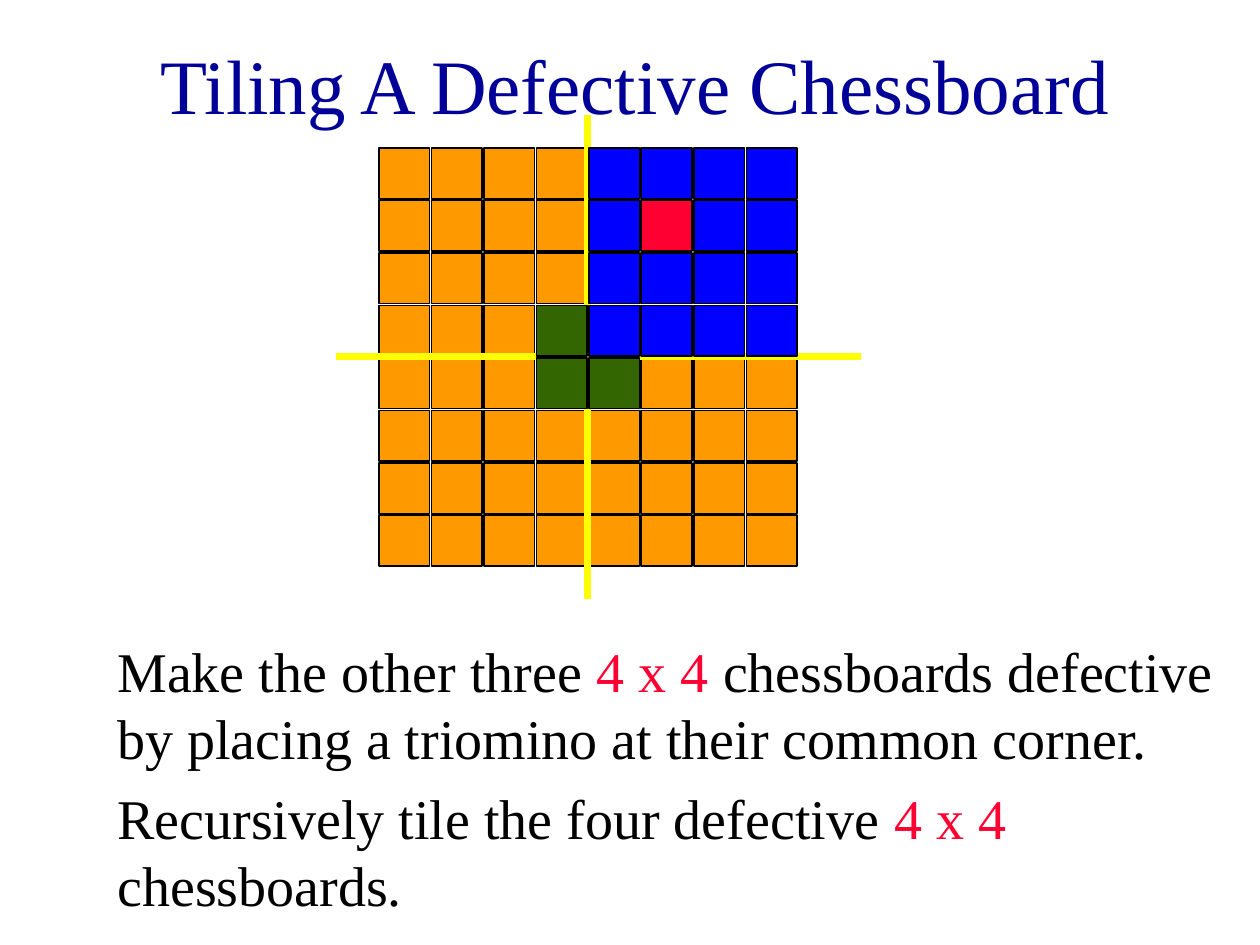
from lxml import etree
from pptx import Presentation
from pptx import util as u
from pptx.dml.color import RGBColor
from pptx.enum import shapes, text
from pptx.oxml import ns

Pt = u.Pt
NAVY = RGBColor(0x00, 0x00, 0x99)
ORANGE = RGBColor(0xFF, 0x99, 0x00)
BLUE = RGBColor(0x00, 0x00, 0xFF)
RED = RGBColor(0xFF, 0x00, 0x33)
GREEN = RGBColor(0x33, 0x66, 0x00)
YELLOW = RGBColor(0xFF, 0xFF, 0x00)
BLACK = RGBColor(0x00, 0x00, 0x00)

BOARD_LEFT, BOARD_TOP = 216.5, 84.5
PITCH, SQUARE = 30, 29
CENTRE = [(row, column) for row in (3, 4) for column in (3, 4)]
DEFECT = (1, 5)

presentation = Presentation()
presentation.slide_width = Pt(720)
presentation.slide_height = Pt(540)
slide = presentation.slides.add_slide(presentation.slide_layouts[6])


def add_text(left, top, width, height, runs, size):
    box = slide.shapes.add_textbox(Pt(left), Pt(top), Pt(width), Pt(height))
    box.text_frame.word_wrap = True
    paragraph = box.text_frame.paragraphs[0]
    for words, color in runs:
        run = paragraph.add_run()
        run.text = words
        run.font.name = "Times New Roman"
        run.font.size = Pt(size)
        run.font.color.rgb = color
    return box


def add_squares(colors):
    group = slide.shapes.add_group_shape()
    for (row, column), color in colors.items():
        square = group.shapes.add_shape(
            shapes.MSO_SHAPE.RECTANGLE,
            Pt(BOARD_LEFT + column * PITCH), Pt(BOARD_TOP + row * PITCH),
            Pt(SQUARE), Pt(SQUARE))
        square.shadow.inherit = False
        square.fill.solid()
        square.fill.fore_color.rgb = color
        square.line.color.rgb = BLACK
        square.line.width = Pt(1)


title = add_text(54, 12, 618, 72, [("Tiling A Defective Chessboard", NAVY)], 44)
title.text_frame.vertical_anchor = text.MSO_ANCHOR.MIDDLE
title.text_frame.paragraphs[0].alignment = text.PP_ALIGN.CENTER

plain_squares = {}
defective_squares = {}
for row in range(8):
    for column in range(8):
        if (row, column) in CENTRE:
            continue
        if row < 4 and column > 3:
            defective_squares[row, column] = BLUE
        else:
            plain_squares[row, column] = ORANGE
defective_squares[DEFECT] = RED
centre_squares = {cell: BLUE if cell == (3, 4) else GREEN for cell in CENTRE}

add_squares(plain_squares)

for x1, y1, x2, y2 in [(336, 66, 336, 342), (192, 204, 492, 204)]:
    divider = slide.shapes.add_connector(
        shapes.MSO_CONNECTOR.STRAIGHT, Pt(x1), Pt(y1), Pt(x2), Pt(y2))
    divider.line.color.rgb = YELLOW
    divider.line.width = Pt(4)
    etree.SubElement(divider._element.spPr, ns.qn("a:effectLst"))

add_squares(defective_squares)
add_squares(centre_squares)

steps = [
    ("Make the other three",
     "chessboards defective by placing a triomino at their common corner."),
    ("Recursively tile the four defective", "chessboards."),
]
for index, (before, after) in enumerate(steps):
    runs = [(before, BLACK), (" 4 x 4 ", RED), (after, BLACK)]
    step = add_text(60, 360 + index * 84, 642, 84, runs, 32)
    step.text_frame.auto_size = text.MSO_AUTO_SIZE.SHAPE_TO_FIT_TEXT
    step.text_frame.paragraphs[0].space_before = Pt(4)

presentation.save("out.pptx")
